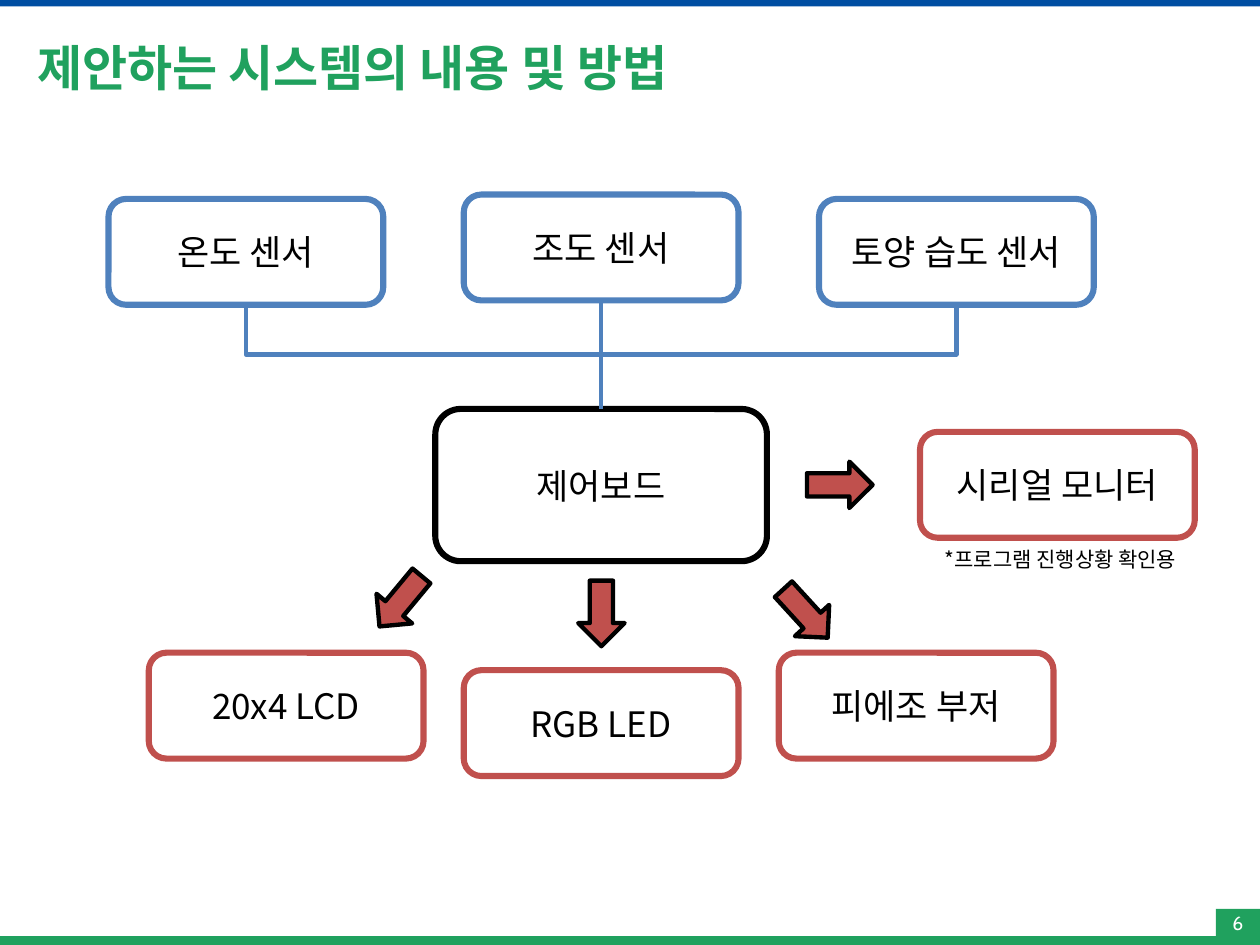
from lxml.etree import SubElement
from pptx import Presentation
from pptx.dml.color import RGBColor
from pptx.enum.shapes import MSO_CONNECTOR as Line, MSO_SHAPE as Shape
from pptx.enum.text import MSO_ANCHOR as Anchor, PP_ALIGN as Align
from pptx.oxml.ns import qn
from pptx.util import Pt

GREEN = RGBColor(0x20, 0xA1, 0x5E)
NAVY = RGBColor(0x00, 0x4E, 0xA2)
BLUE = RGBColor(0x4F, 0x81, 0xBD)
RED = RGBColor(0xC0, 0x50, 0x4D)
BLACK = RGBColor(0, 0, 0)
WHITE = RGBColor(0xFF, 0xFF, 0xFF)

HEADING_FONT = "Cabin"
BODY_FONT = "Noto Sans CJK KR"

NODE_WIDTH, NODE_HEIGHT = 157, 60.5
CENTER_LEFT = 265
SENSOR_STEP, OUTPUT_STEP = 203, 180
SENSOR_TOP, OUTPUT_TOP = 113.7, 373


def write(frame, text, size, color, font=BODY_FONT, bold=False, align=None):
    frame.vertical_anchor = Anchor.MIDDLE
    paragraph = frame.paragraphs[0]
    paragraph.text = text
    paragraph.alignment = align
    paragraph.font.name = font
    paragraph.font.size = Pt(size)
    paragraph.font.bold = bold
    paragraph.font.color.rgb = color


def add_block(slide, kind, left, top, width, height, fill, outline=None, weight=0):
    """Add a filled preset shape, outlined only when an outline colour is given."""
    block = slide.shapes.add_shape(kind, Pt(left), Pt(top), Pt(width), Pt(height))
    block.shadow.inherit = False
    block.fill.solid()
    block.fill.fore_color.rgb = fill
    if outline is None:
        block.line.fill.background()
    else:
        block.line.color.rgb = outline
        block.line.width = Pt(weight)
    return block


def add_node(slide, label, left, top, outline, width=NODE_WIDTH, height=NODE_HEIGHT):
    node = add_block(slide, Shape.ROUNDED_RECTANGLE, left, top, width, height,
                     WHITE, outline, 3.5)
    write(node.text_frame, label, 20, BLACK, align=Align.CENTER)
    return node


def add_flow_arrow(slide, left, top, rotation):
    arrow = add_block(slide, Shape.DOWN_ARROW, left, top, 26.5, 37.5, RED, BLACK, 2.5)
    arrow.rotation = rotation


def add_label(slide, text, left, top, width, height, wrap, **style):
    label = slide.shapes.add_textbox(Pt(left), Pt(top), Pt(width), Pt(height))
    label.text_frame.word_wrap = wrap
    write(label.text_frame, text, **style)


def join(slide, kind, start, start_site, end, end_site):
    link = slide.shapes.add_connector(kind, 0, 0, 0, 0)
    link.begin_connect(start, start_site)
    link.end_connect(end, end_site)
    link.line.color.rgb = BLUE
    link.line.width = Pt(2.5)
    SubElement(link._element.spPr, qn("a:effectLst"))
    return link


def add_bus(slide, first, last, drop):
    """Join the bottoms of two level nodes with a U-shaped elbow."""
    bus = join(slide, Line.ELBOW, first, 2, last, 2)
    # The elbow is a 1 pt wide box turned on its side about its centre
    span = last.left - first.left
    middle = first.left + first.width // 2 + span // 2
    bus.width, bus.height = Pt(1), span
    bus.left = middle - Pt(0.5)
    bus.top = first.top + first.height - span // 2
    properties = bus._element.spPr
    frame = properties.find(qn("a:xfrm"))
    frame.set("rot", str(270 * 60000))
    frame.set("flipH", "1")
    geometry = properties.find(qn("a:prstGeom"))
    adjustments = geometry.find(qn("a:avLst"))
    if adjustments is None:
        adjustments = SubElement(geometry, qn("a:avLst"))
    SubElement(adjustments, qn("a:gd"), name="adj1", fmla=f"val {drop * 100000}")


def add_page_frame(slide):
    add_block(slide, Shape.RECTANGLE, 0, 535, 720, 5, GREEN)
    add_block(slide, Shape.RECTANGLE, 0, 0, 720, 3.6, NAVY)
    add_label(slide, "제안하는 시스템의 내용 및 방법", 14.4, 14.4, 692, 48, True,
              size=28, color=GREEN, font=HEADING_FONT, bold=True)
    page = add_block(slide, Shape.RECTANGLE, 694.8, 519.4, 25.2, 15.6, GREEN)
    frame = page.text_frame
    frame.margin_left = frame.margin_right = frame.margin_top = frame.margin_bottom = 0
    write(frame, "6", 11, WHITE, HEADING_FONT, align=Align.CENTER)


def main():
    deck = Presentation()
    deck.slide_width, deck.slide_height = Pt(720), Pt(540)
    slide = deck.slides.add_slide(deck.slide_layouts[6])
    add_page_frame(slide)

    sensors = [
        add_node(slide, label, CENTER_LEFT + column * SENSOR_STEP, SENSOR_TOP + shift, BLUE)
        for label, column, shift in (
            ("온도 센서", -1, 0), ("조도 센서", 0, -2.5), ("토양 습도 센서", 1, 0))
    ]
    for label, column, shift in (
            ("20x4 LCD", -1, 0), ("RGB LED", 0, 10), ("피에조 부저", 1, 0)):
        add_node(slide, label, CENTER_LEFT + column * OUTPUT_STEP, OUTPUT_TOP + shift, RED)
    add_node(slide, "시리얼 모니터", 525.7, 246.8, RED)

    controller = add_node(slide, "제어보드", 248.75, 233.7, BLACK, 189.5, 87)
    add_bus(slide, sensors[0], sensors[2], 29)
    join(slide, Line.STRAIGHT, sensors[1], 2, controller, 0)

    for left, top, rotation in (
            (330.4, 331.8, 0), (215.6, 324.8, 39.7), (447.1, 331.8, 317.6), (466.6, 258.3, 270)):
        add_flow_arrow(slide, left, top, rotation)
    add_label(slide, "*프로그램 진행상황 확인용", 532.8, 308.9, 161.3, 21.6, False,
              size=12, color=BLACK)

    deck.save("out.pptx")


if __name__ == "__main__":
    main()
